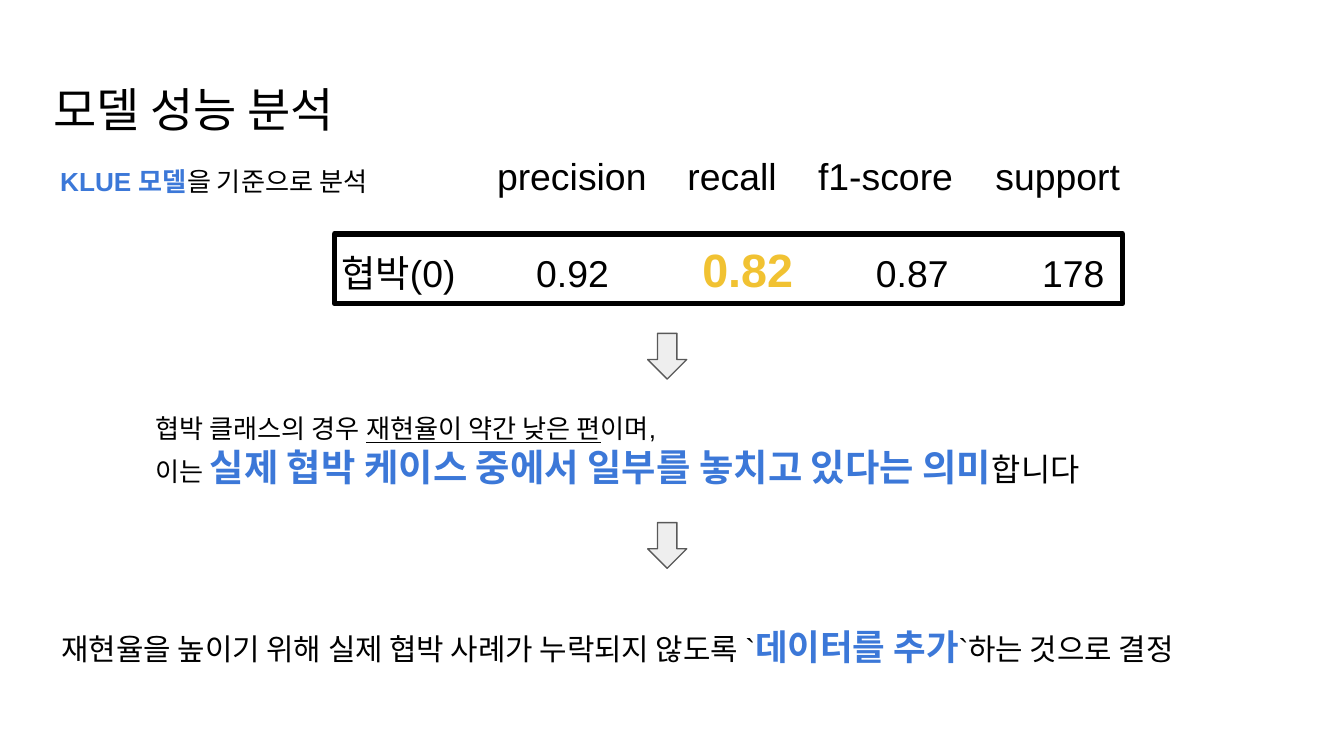
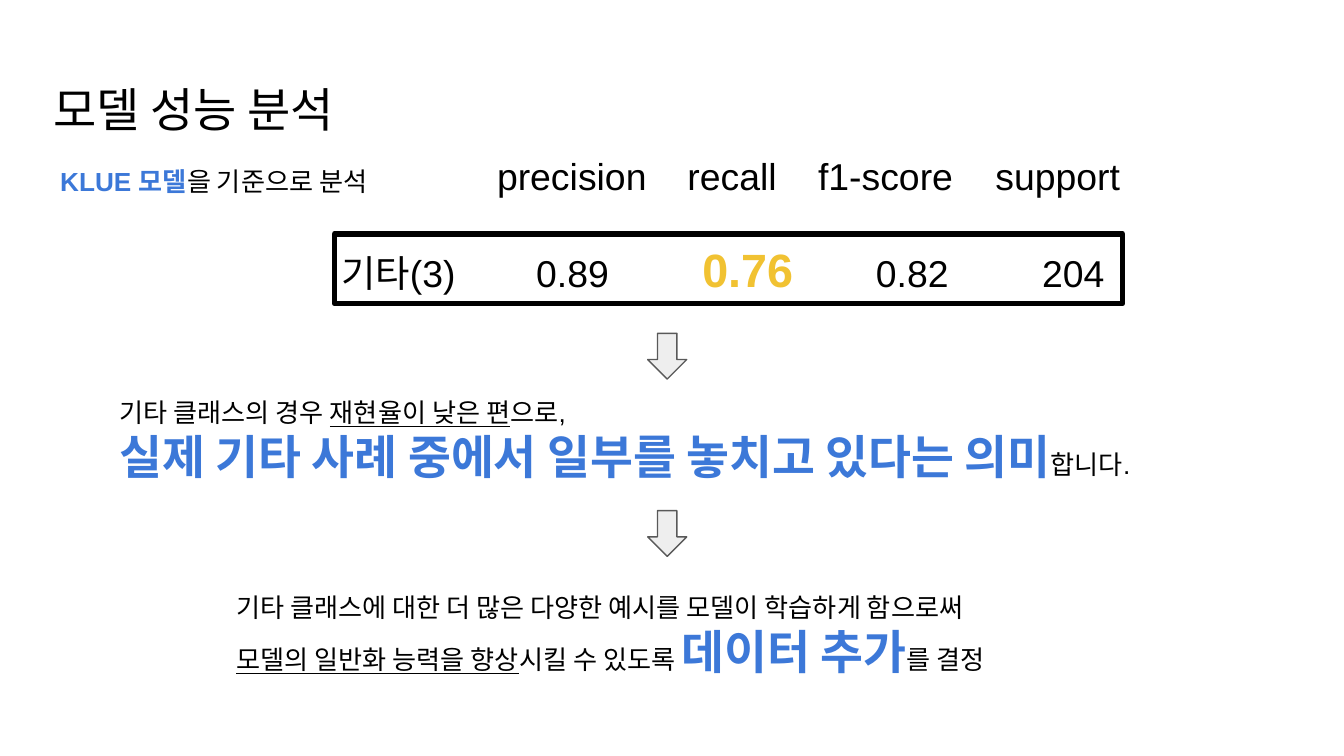
from dataclasses import dataclass

from lxml import etree
from pptx import Presentation
from pptx.dml.color import RGBColor
from pptx.enum.shapes import MSO_SHAPE
from pptx.enum.text import MSO_ANCHOR, PP_ALIGN
from pptx.oxml.ns import qn
from pptx.slide import Slide
from pptx.text.text import _Paragraph
from pptx.util import Pt

BLACK = RGBColor(0x00, 0x00, 0x00)
BLUE = RGBColor(0x3C, 0x78, 0xD8)
YELLOW = RGBColor(0xF1, 0xC2, 0x32)
ARROW_FILL = RGBColor(0xEE, 0xEE, 0xEE)
ARROW_LINE = RGBColor(0x59, 0x59, 0x59)
FONT = "Arial"
INSET = Pt(7.2)
RECTANGLE = MSO_SHAPE.RECTANGLE
DOWN_ARROW = MSO_SHAPE.DOWN_ARROW
TOP = MSO_ANCHOR.TOP
LEFT = PP_ALIGN.LEFT

METRIC_NAMES = ("precision", "recall", "f1-score", "support")
HEADER_STOPS = (139, 241, 311, 406)
VALUE_STOPS = (55.5, 160, 249, 342, 431)
ARROW_LEFT = 347


@dataclass(frozen=True)
class Span:
    """A stretch of text in one style."""

    text: str
    size: float = 14
    color: RGBColor = BLACK
    bold: bool = False
    underline: bool = False


@dataclass(frozen=True)
class Line:
    """A paragraph with its spans, tab stops and space above, in points."""

    spans: tuple[Span, ...]
    stops: tuple[float, ...] = ()
    space_before: float = 0


@dataclass(frozen=True)
class TextBlock:
    """A text box placed in points."""

    left: float
    top: float
    width: float
    height: float
    lines: tuple[Line, ...]


@dataclass(frozen=True)
class Analysis:
    """The class scores and conclusions of one slide."""

    label: str
    precision: str
    recall: str
    f1_score: str
    support: str
    finding: TextBlock
    decision: TextBlock
    second_arrow_top: float


TITLE = TextBlock(21.6, 36, 671, 45.4, (Line((Span("모델 성능 분석", 25.2),)),))
BASIS = TextBlock(25.2, 81.4, 196.6, 31.7, (
    Line((Span("KLUE 모델", color=BLUE, bold=True), Span("을 기준으로 분석"))),
))

ANALYSES = (
    Analysis(
        "협박(0)", "0.92", "0.82", "0.87", "178",
        TextBlock(76.3, 213.8, 601.2, 55.4, (
            Line((
                Span("협박 클래스의 경우 "),
                Span("재현율이 약간 낮은 편", underline=True),
                Span("이며,"),
            )),
            Line((
                Span("이는 "),
                Span("실제 협박 케이스 중에서 일부를 놓치고 있다는 의미", 20, BLUE, True),
                Span("합니다", 17),
            )),
        )),
        TextBlock(25.9, 327.6, 676, 37.4, (
            Line((
                Span("재현율을 높이기 위해 실제 협박 사례가 누락되지 않도록 `", 16),
                Span("데이터를 추가", 19, BLUE, True),
                Span("`하는 것으로 결정", 16),
            )),
        )),
        280,
    ),
    Analysis(
        "기타(3)", "0.89", "0.76", "0.82", "204",
        TextBlock(56.9, 205.2, 645, 62, (
            Line((
                Span("기타 클래스의 경우 "),
                Span("재현율이 낮은 편", underline=True),
                Span("으로,"),
            )),
            Line((
                Span("실제 기타 사례 중에서 일부를 놓치고 있다는 의미", 25, BLUE, True),
                Span("합니다."),
            )),
        )),
        TextBlock(119.5, 309.6, 481.7, 62, (
            Line((Span("기타 클래스에 대한 더 많은 다양한 예시를 모델이 학습하게 함으로써"),)),
            Line((
                Span("모델의 일반화 능력을 향상", underline=True),
                Span("시킬 수 있도록 "),
                Span("데이터 추가", 25, BLUE, True),
                Span("를 결정"),
            )),
        )),
        273.6,
    ),
)


def set_tab_stops(para: _Paragraph, stops: tuple[float, ...]) -> None:
    """Give a paragraph left-aligned tab stops."""
    tab_list = etree.SubElement(para._p.get_or_add_pPr(), qn("a:tabLst"))
    for stop in stops:
        etree.SubElement(tab_list, qn("a:tab"), pos=str(Pt(stop)), algn="l")


def add_span(para: _Paragraph, span: Span) -> None:
    """Append one styled run."""
    run = para.add_run()
    run.text = span.text
    font = run.font
    font.name = FONT
    font.size = Pt(span.size)
    font.bold = span.bold
    font.underline = span.underline
    font.color.rgb = span.color


def add_text(page: Slide, block: TextBlock) -> None:
    """Draw a text box with its paragraphs."""
    box = page.shapes.add_textbox(
        Pt(block.left), Pt(block.top), Pt(block.width), Pt(block.height)
    )
    frame = box.text_frame
    frame.word_wrap = True
    frame.vertical_anchor = TOP
    frame.margin_left = frame.margin_right = INSET
    frame.margin_top = frame.margin_bottom = INSET
    for index, line in enumerate(block.lines):
        para = frame.add_paragraph() if index else frame.paragraphs[0]
        para.alignment = LEFT
        para.space_before = Pt(line.space_before)
        if line.stops:
            set_tab_stops(para, line.stops)
        for span in line.spans:
            add_span(para, span)


def add_scores(page: Slide, analysis: Analysis) -> None:
    """Draw the metric names, the scores and the frame around them."""
    header = tuple(Span(f"\t{name}", 20) for name in METRIC_NAMES)
    scores = (
        Span(f"\t{analysis.label}\t{analysis.precision}\t", 20),
        Span(analysis.recall, 25, YELLOW, True),
        Span(f"\t{analysis.f1_score}\t{analysis.support}", 20),
    )
    add_text(page, TextBlock(120.2, 74.9, 504, 93.6, (
        Line(header, HEADER_STOPS),
        Line(scores, VALUE_STOPS, 23),
    )))
    frame = page.shapes.add_shape(RECTANGLE, Pt(179.3), Pt(125.3), Pt(422), Pt(37.4))
    frame.shadow.inherit = False
    frame.fill.background()
    frame.line.color.rgb = BLACK
    frame.line.width = Pt(3)


def add_arrow(page: Slide, top: float) -> None:
    """Draw a down arrow on the centre line."""
    arrow = page.shapes.add_shape(DOWN_ARROW, Pt(ARROW_LEFT), Pt(top), Pt(20.9), Pt(24.5))
    arrow.shadow.inherit = False
    arrow.fill.solid()
    arrow.fill.fore_color.rgb = ARROW_FILL
    arrow.line.color.rgb = ARROW_LINE
    arrow.line.width = Pt(0.75)


def main() -> None:
    """Build the deck and save it."""
    deck = Presentation()
    deck.slide_width, deck.slide_height = Pt(720), Pt(405)
    for analysis in ANALYSES:
        page = deck.slides.add_slide(deck.slide_layouts[6])
        add_text(page, TITLE)
        add_scores(page, analysis)
        add_text(page, analysis.finding)
        add_arrow(page, 178.6)
        add_arrow(page, analysis.second_arrow_top)
        add_text(page, analysis.decision)
        add_text(page, BASIS)
    deck.save("out.pptx")


if __name__ == "__main__":
    main()
